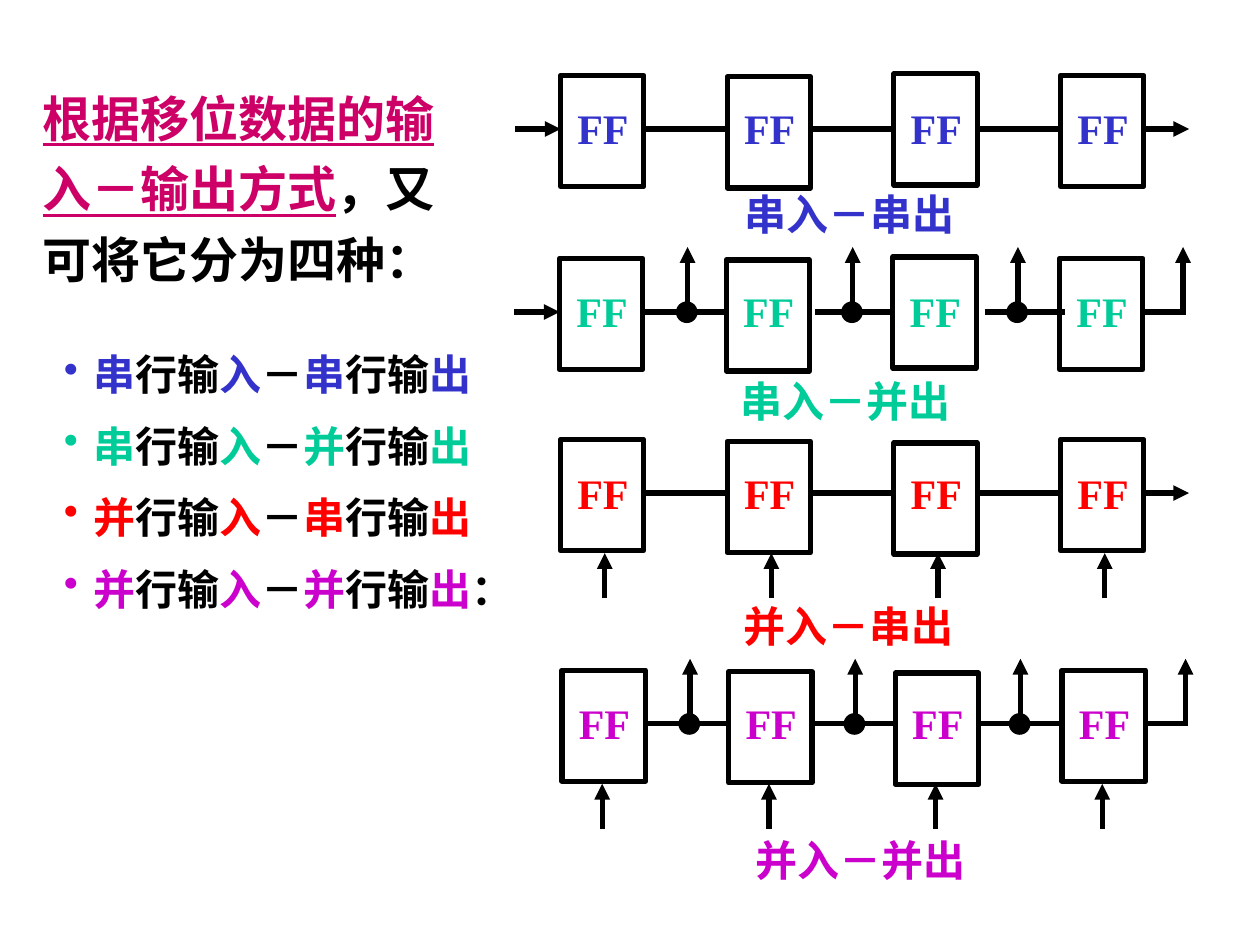
from typing import NamedTuple

from lxml.etree import SubElement
from pptx import Presentation
from pptx.dml.color import RGBColor
from pptx.enum.shapes import MSO_CONNECTOR as Conn, MSO_SHAPE as Shape
from pptx.oxml.ns import qn
from pptx.util import Cm, Pt

COLORS = {
    "black": "000000",
    "heading": "CC0066",
    "blue": "3333CC",
    "green": "00CC99",
    "red": "FF0000",
    "purple": "CC00CC",
}
FONT = "Times New Roman"

# Register geometry in cm, measured from the first flip-flop's corner
PITCH = 3.36
BOX_W, BOX_H = 1.68, 2.24
MID = 1.08
ARROW = 0.91
TAP_PITCH = 3.33
DOT = 0.41


class Register(NamedTuple):
    x: float
    y: float
    color: str
    source: str  # 串 for serial, 并 for parallel
    sink: str
    caption_x: float
    caption_y: float
    steps: tuple[float, ...]  # vertical offset of each flip-flop
    wire_pitch: float = PITCH
    load_x: float = 0.89


REGISTERS = [
    Register(11.3, 1.52, "blue", "串", "串", 14.76, 3.68, (0, 0.03, -0.03, 0)),
    Register(11.28, 5.21, "green", "串", "并", 14.68, 7.44, (0, 0.03, -0.03, 0),
             wire_pitch=3.42),
    Register(11.3, 8.86, "red", "并", "串", 14.73, 11.99, (0, 0.04, 0.07, 0)),
    Register(11.33, 13.51, "purple", "并", "并", 14.99, 16.69, (0, 0.03, 0.06, 0),
             load_x=0.81),
]


def rgb(name: str) -> RGBColor:
    return RGBColor.from_string(COLORS[name])


def add_text(shapes, x: float, y: float, w: float, h: float):
    sp = shapes.add_textbox(Cm(x), Cm(y), Cm(w), Cm(h))
    sp.text_frame.word_wrap = True
    return sp.text_frame


def set_font(p, size: int) -> None:
    p.font.name = FONT
    p.font.size = Pt(size)
    p.font.bold = True


def add_run(p, text: str, color: str, underline: bool | None = None) -> None:
    r = p.add_run()
    r.text = text
    r.font.color.rgb = rgb(color)
    r.font.underline = underline


def add_label(shapes, x: float, y: float, w: float, text: str, color: str) -> None:
    p = add_text(shapes, x, y, w, 1.27).paragraphs[0]
    set_font(p, 24)
    add_run(p, text, color)


def add_line(shapes, x1: float, y1: float, x2: float, y2: float,
             arrow: bool = False) -> None:
    cxn = shapes.add_connector(Conn.STRAIGHT, Cm(x1), Cm(y1), Cm(x2), Cm(y2))
    cxn.line.color.rgb = rgb("black")
    cxn.line.width = Pt(3)
    sp_pr = cxn._element.spPr
    if arrow:
        SubElement(sp_pr.find(qn("a:ln")), qn("a:tailEnd"), type="triangle")
    SubElement(sp_pr, qn("a:effectLst"))


def add_shape(shapes, kind, x: float, y: float, w: float, h: float,
              line: float, filled: bool = False) -> None:
    sp = shapes.add_shape(kind, Cm(x), Cm(y), Cm(w), Cm(h))
    sp.shadow.inherit = False
    if filled:
        sp.fill.solid()
        sp.fill.fore_color.rgb = rgb("black")
    else:
        sp.fill.background()
    sp.line.color.rgb = rgb("black")
    sp.line.width = Pt(line)


def add_register(slide, reg: Register) -> None:
    shapes = slide.shapes.add_group_shape().shapes
    x, y, mid = reg.x, reg.y, reg.y + MID

    # Flip-flops and the wires between them
    for i, step in enumerate(reg.steps):
        left = x + i * PITCH
        add_shape(shapes, Shape.RECTANGLE, left, y + step, BOX_W, BOX_H, 3)
        add_label(shapes, left + 0.09, y + 0.43, 1.85, "FF", reg.color)
    for i in range(3):
        start = x + BOX_W + 0.05 + i * reg.wire_pitch
        add_line(shapes, start, mid, start + 1.61, mid)

    # Inputs
    if reg.source == "串":
        add_line(shapes, x - ARROW, mid, x, mid, arrow=True)
    else:
        for i in range(4):
            load = x + reg.load_x + i * PITCH
            top = y + BOX_H + 0.05
            add_line(shapes, load, top + ARROW, load, top, arrow=True)

    # Outputs
    end = x + 3 * PITCH + BOX_W
    if reg.sink == "串":
        add_line(shapes, end, mid, end + ARROW, mid, arrow=True)
    else:
        for i in range(4):
            tap = x + 2.58 + i * TAP_PITCH
            add_line(shapes, tap, mid, tap, y - 0.23, arrow=True)
        add_line(shapes, end + 0.05, mid, end + 0.86, mid)
        for i in range(3):
            add_shape(shapes, Shape.OVAL, x + 2.36 + i * TAP_PITCH, y + 0.88,
                      DOT, DOT, 0.75, filled=True)

    add_label(slide.shapes, reg.caption_x, reg.caption_y, 5.2,
              f"{reg.source}入－{reg.sink}出", reg.color)


def add_heading(slide) -> None:
    p = add_text(slide.shapes, 0.61, 1.42, 8.79, 4.52).paragraphs[0]
    p.line_spacing = 1.2
    set_font(p, 28)
    add_run(p, "根据移位数据的输入－输出方式", "heading", underline=True)
    add_run(p, "，又可将它分为四种：", "black")


def add_kinds(slide) -> None:
    tf = add_text(slide.shapes, 1.04, 6.91, 10.11, 5.84)
    for i, reg in enumerate(REGISTERS):
        p = tf.add_paragraph() if i else tf.paragraphs[0]
        p_pr = p._p.get_or_add_pPr()
        p_pr.set("marL", str(Cm(0.6)))
        p_pr.set("indent", str(-Cm(0.6)))
        SubElement(p_pr, qn("a:buChar"), char="•")
        set_font(p, 24)
        if i:
            p.space_before = Pt(12)
        parts = [reg.source, "行输", "入", "－", reg.sink, "行输", "出"]
        for k, text in enumerate(parts):
            add_run(p, text, "black" if k % 2 else reg.color)
    add_run(p, "：", "black")


def main() -> None:
    prs = Presentation()
    prs.slide_width, prs.slide_height = Cm(25.4), Cm(19.05)
    slide = prs.slides.add_slide(prs.slide_layouts[6])
    add_heading(slide)
    for reg in REGISTERS:
        add_register(slide, reg)
    add_kinds(slide)
    prs.save("out.pptx")


if __name__ == "__main__":
    main()
